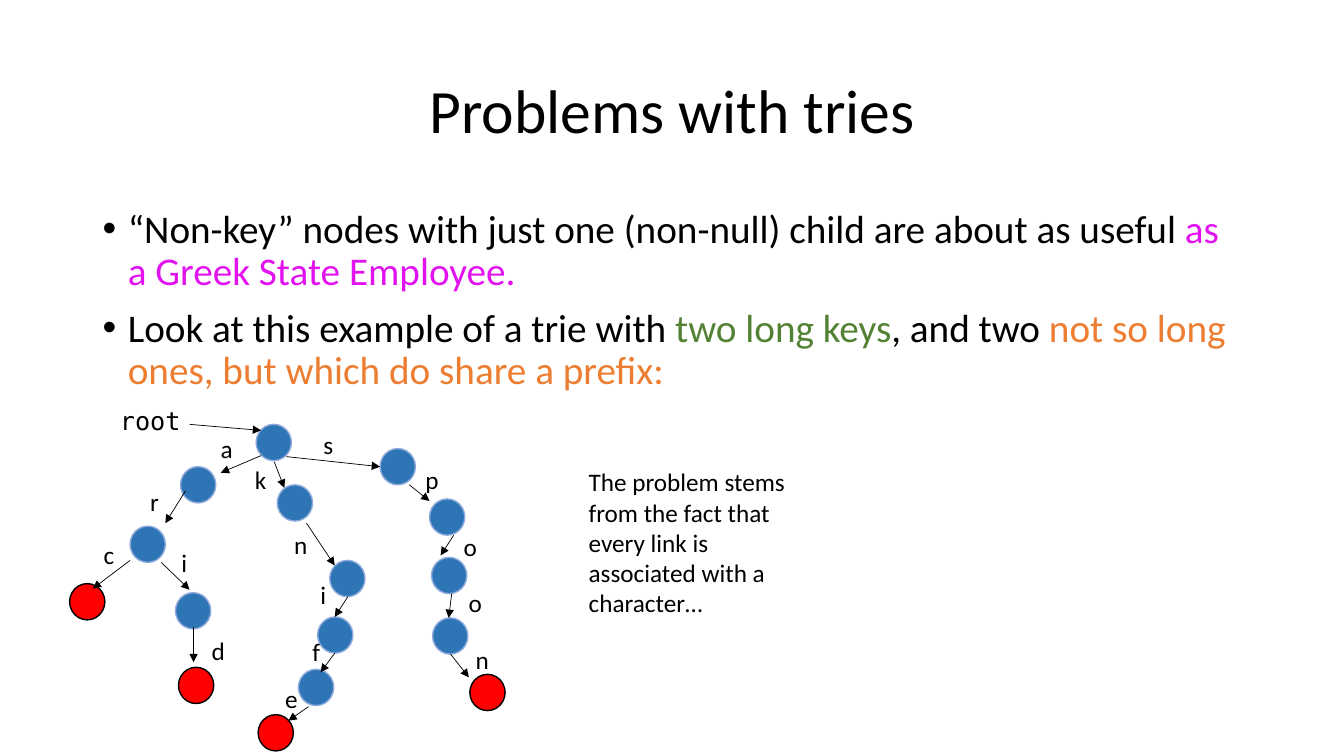
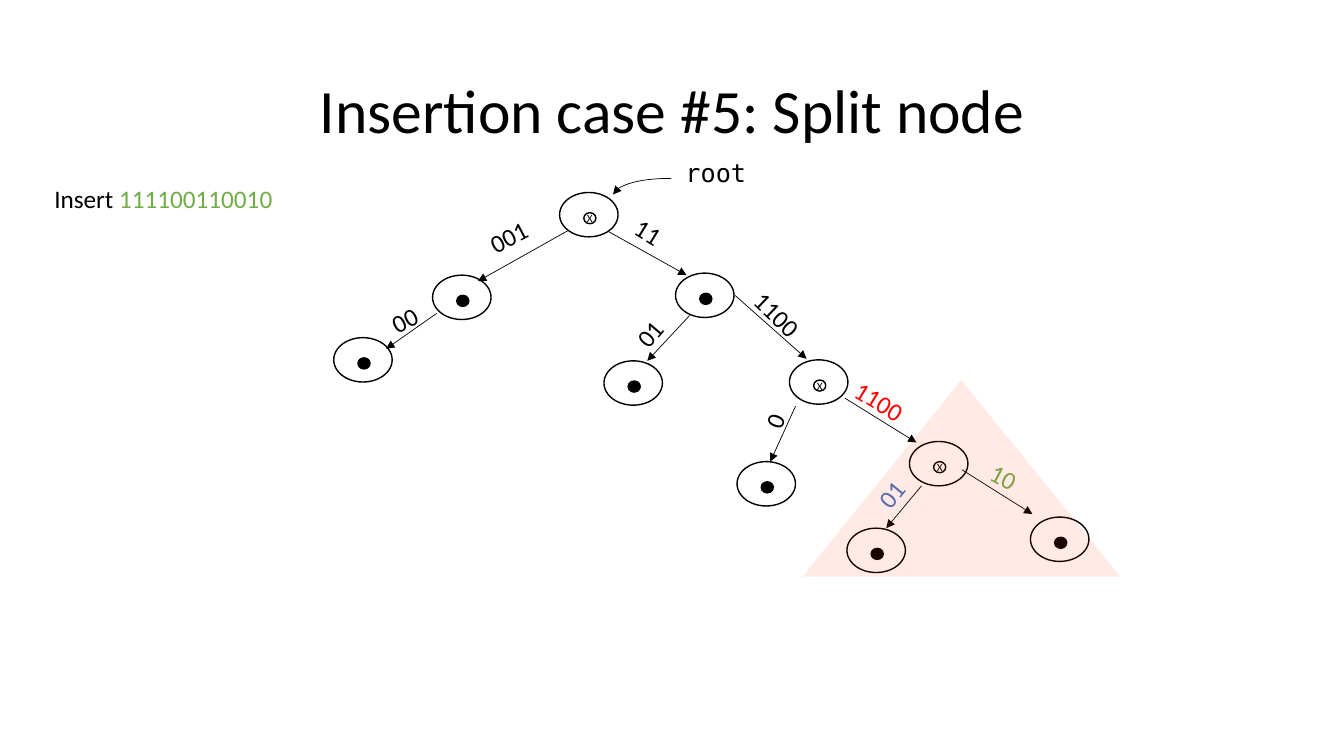
from lxml.etree import SubElement
from pptx import Presentation
from pptx.dml.color import RGBColor
from pptx.enum.shapes import MSO_CONNECTOR as Link, MSO_SHAPE as Form
from pptx.enum.text import MSO_ANCHOR as Anchor, MSO_AUTO_SIZE as Auto, PP_ALIGN as Align
from pptx.oxml.ns import qn
from pptx.util import Emu, Pt

SANS, MONO = "Calibri", "DejaVu Sans Mono"
BLACK, RED, BLUE, EDGE = "000000", "FF0000", "2E75B6", "8FAADC"
GREEN = "70AD47"


def px(n):
    return Emu(n * 9144)


def ink(code):
    return RGBColor.from_string(code)


class Deck:
    def __init__(self):
        self.prs = Presentation()
        self.prs.slide_width, self.prs.slide_height = px(1333), px(750)
        self.shapes = None

    def slide(self, title):
        self.shapes = self.prs.slides.add_slide(self.prs.slide_layouts[5]).shapes
        box = self.shapes.title
        box.left, box.top, box.width, box.height = map(px, (92, 40, 1150, 145))
        frame = box.text_frame
        frame.text = title
        frame.vertical_anchor = Anchor.MIDDLE
        par = frame.paragraphs[0]
        par.alignment, par.line_spacing = Align.CENTER, 0.9
        self.style(par.runs[0], 44)

    def style(self, run, size=18, color=BLACK, font=SANS):
        run.font.size, run.font.name = Pt(size), font
        run.font.color.rgb = ink(color)

    def fill(self, par, parts, size=18, font=SANS):
        for words, color in parts:
            run = par.add_run()
            run.text = words
            self.style(run, size, color, font)

    def text(self, x, y, w, h, parts, font=SANS, turn=0, wrap=True):
        box = self.shapes.add_textbox(*map(px, (x, y, w, h)))
        box.rotation = turn
        frame = box.text_frame
        frame.word_wrap, frame.auto_size = wrap, Auto.SHAPE_TO_FIT_TEXT
        self.fill(frame.paragraphs[0], parts, font=font)

    def bullets(self, x, y, w, h, items):
        frame = self.shapes.add_textbox(*map(px, (x, y, w, h))).text_frame
        frame.word_wrap = True
        for i, parts in enumerate(items):
            par = frame.add_paragraph() if i else frame.paragraphs[0]
            par.line_spacing, par.space_before = 0.9, Pt(10)
            props = par._p.get_or_add_pPr()
            props.set("marL", str(px(25)))
            props.set("indent", str(px(-25)))
            SubElement(props, qn("a:buFont")).set("typeface", "Arial")
            SubElement(props, qn("a:buChar")).set("char", "•")
            self.fill(par, parts, 28)

    def shape(self, form, x, y, w, h, fill=None, line=None):
        item = self.shapes.add_shape(form, *map(px, (x, y, w, h)))
        item.shadow.inherit = False
        if fill:
            item.fill.solid()
            item.fill.fore_color.rgb = ink(fill)
        else:
            item.fill.background()
        if line:
            item.line.color.rgb = ink(line)
            item.line.width = Pt(1)
        else:
            item.line.fill.background()
        return item

    def veil(self, form, x, y, w, h, fill, alpha):
        item = self.shape(form, x, y, w, h, fill)
        color = item._element.spPr.find(".//" + qn("a:srgbClr"))
        SubElement(color, qn("a:alpha")).set("val", str(alpha * 1000))

    def node(self, x, y, full):
        self.shape(Form.OVAL, x, y, 58, 44, line=BLACK)
        mark = self.shape(Form.OVAL, x + 24, y + 20, 12, 11, BLACK if full else None, BLACK)
        if not full:
            frame = mark.text_frame
            frame.margin_left = frame.margin_right = 0
            frame.margin_top = frame.margin_bottom = 0
            frame.word_wrap, frame.vertical_anchor = False, Anchor.MIDDLE
            par = frame.paragraphs[0]
            par.text, par.alignment = "X", Align.CENTER
            self.style(par.runs[0], 8)

    def arrow(self, x1, y1, x2, y2, curve=False):
        kind = Link.CURVE if curve else Link.STRAIGHT
        item = self.shapes.add_connector(kind, *map(px, (x1, y1, x2, y2)))
        item.line.color.rgb = ink(BLACK)
        item.line.width = Pt(0.5)
        props = item._element.spPr
        if curve:
            props.find(qn("a:prstGeom")).set("prst", "curvedConnector2")
        SubElement(item.line._get_or_add_ln(), qn("a:tailEnd")).set("type", "triangle")
        SubElement(props, qn("a:effectLst"))


def tries(deck):
    deck.slide("Problems with tries")
    deck.bullets(92, 203, 1150, 476, [
        [("“Non-key” nodes with just one (non-null) child are about as useful ", BLACK),
         ("as a Greek State Employee.", "E211F0")],
        [("Look at this example of a trie with ", BLACK), ("two long keys", "548235"),
         (", and two ", BLACK),
         ("not so long ones, but which do share a prefix:", "ED7D31")]])
    inner = [(254, 421), (179, 463), (129, 522), (174, 588), (275, 481), (327, 556),
             (315, 612), (296, 664), (377, 445), (426, 495), (428, 553), (429, 613)]
    keys = [(177, 662), (69, 579), (256, 709), (466, 669)]
    for spots, fill, line in ((inner, BLUE, EDGE), (keys, RED, BLACK)):
        for x, y in spots:
            deck.shape(Form.OVAL, x, y, 35, 36, fill, line)
    deck.text(109, 397, 109, 40, [("root", BLACK)], MONO)
    deck.arrow(188, 421, 259, 427)
    links = [
        ((259, 452, 219, 469), "a", 209, 425), ((184, 487, 164, 519), "r", 139, 478),
        ((129, 556, 92, 584), "c", 93, 530), ((160, 558, 188, 585), "i", 170, 538),
        ((192, 622, 192, 657), "d", 200, 625), ((272, 458, 282, 484), "k", 243, 456),
        ((304, 519, 332, 561), "n", 282, 520), ((345, 592, 332, 612), "i", 308, 570),
        ((332, 648, 318, 667), "f", 300, 626), ((306, 701, 286, 715), "e", 273, 673),
        ((284, 453, 377, 463), "s", 311, 421), ((406, 481, 426, 497), "p", 412, 456),
        ((450, 531, 437, 551), "o", 450, 522), ((448, 589, 445, 613), "o", 455, 578),
        ((447, 649, 465, 672), "n", 462, 634)]
    for ends, char, x, y in links:
        deck.arrow(*ends)
        deck.text(x, y, 30, 40, [(char, BLACK)])
    note = "The problem stems from the fact that every link is associated with a character…"
    deck.text(574, 458, 250, 162, [(note, BLACK)])


def split(deck):
    deck.slide("Insertion case #5: Split node")
    deck.text(44, 177, 277, 40, [("Insert ", BLACK), ("111100110010", GREEN)])
    deck.text(670, 151, 82, 40, [("root", BLACK)], MONO)
    deck.arrow(666, 177, 608, 193, curve=True)
    full = [(429, 273), (331, 335), (670, 271), (599, 358), (731, 458), (840, 524), (1022, 513)]
    bare = [(555, 191), (783, 357), (902, 438)]
    for spots, solid in ((full, True), (bare, False)):
        for x, y in spots:
            deck.node(x, y, solid)
    links = [
        ((563, 229, 474, 279), "001", (474, 209, 82), 332.3, BLACK),
        ((433, 311, 383, 346), "00", (378, 295, 55), 332.3, BLACK),
        ((604, 230, 681, 273), "11", (618, 220, 82), 31.6, BLACK),
        ((684, 313, 642, 358), "01", (615, 297, 82), 310.1, BLACK),
        ((729, 293, 800, 356), "1100", (734, 296, 82), 43.8, BLACK),
        ((838, 395, 909, 439), "1100", (835, 385, 98), 31.4, RED),
        ((789, 403, 764, 458), "0", (753, 399, 29), 291.8, BLACK),
        ((914, 482, 879, 524), "01", (861, 470, 46), 309.6, "4472C4"),
        ((954, 466, 1024, 510), "10", (973, 453, 46), 27.9, GREEN)]
    for ends, bits, place, turn, color in links:
        deck.arrow(*ends)
        deck.text(*place, 40, [(bits, color)], turn=turn)
    deck.veil(Form.ISOSCELES_TRIANGLE, 796, 377, 315, 195, "FF3300", 10)


def main():
    deck = Deck()
    tries(deck)
    split(deck)
    deck.prs.save("out.pptx")


if __name__ == "__main__":
    main()
